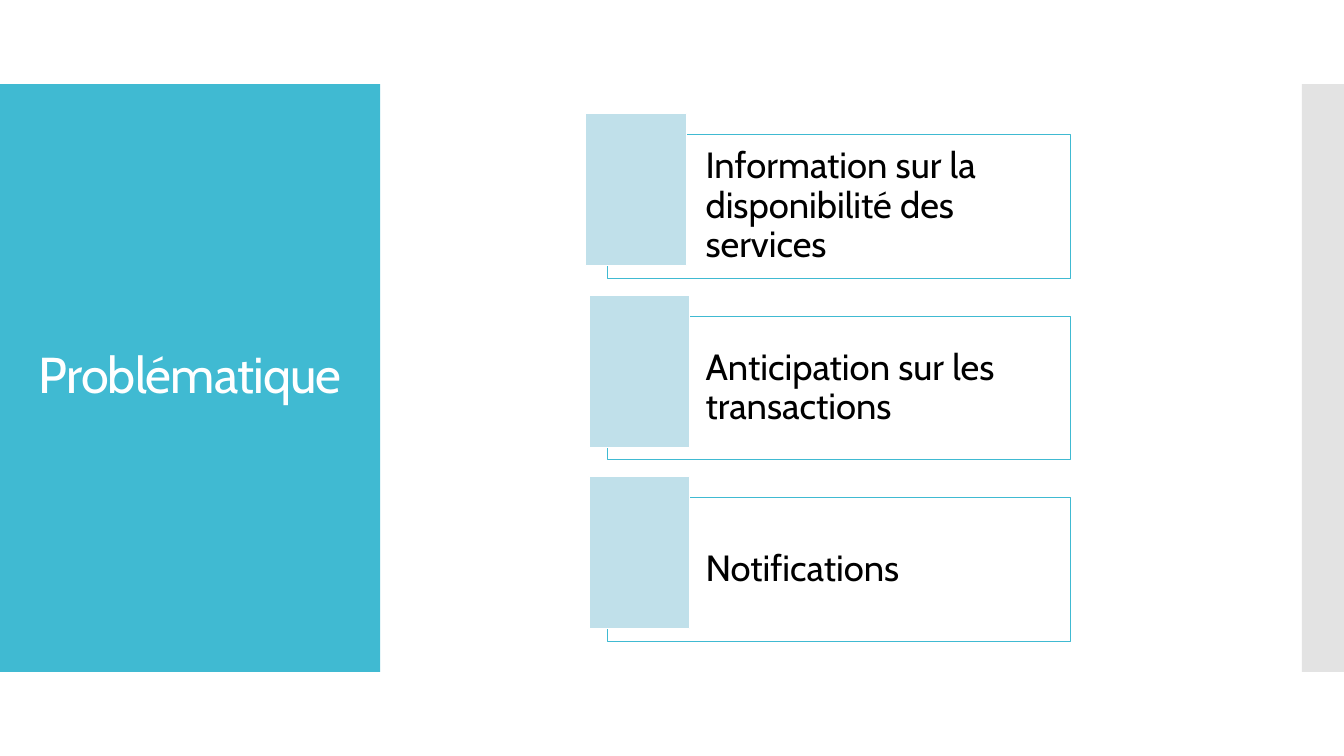
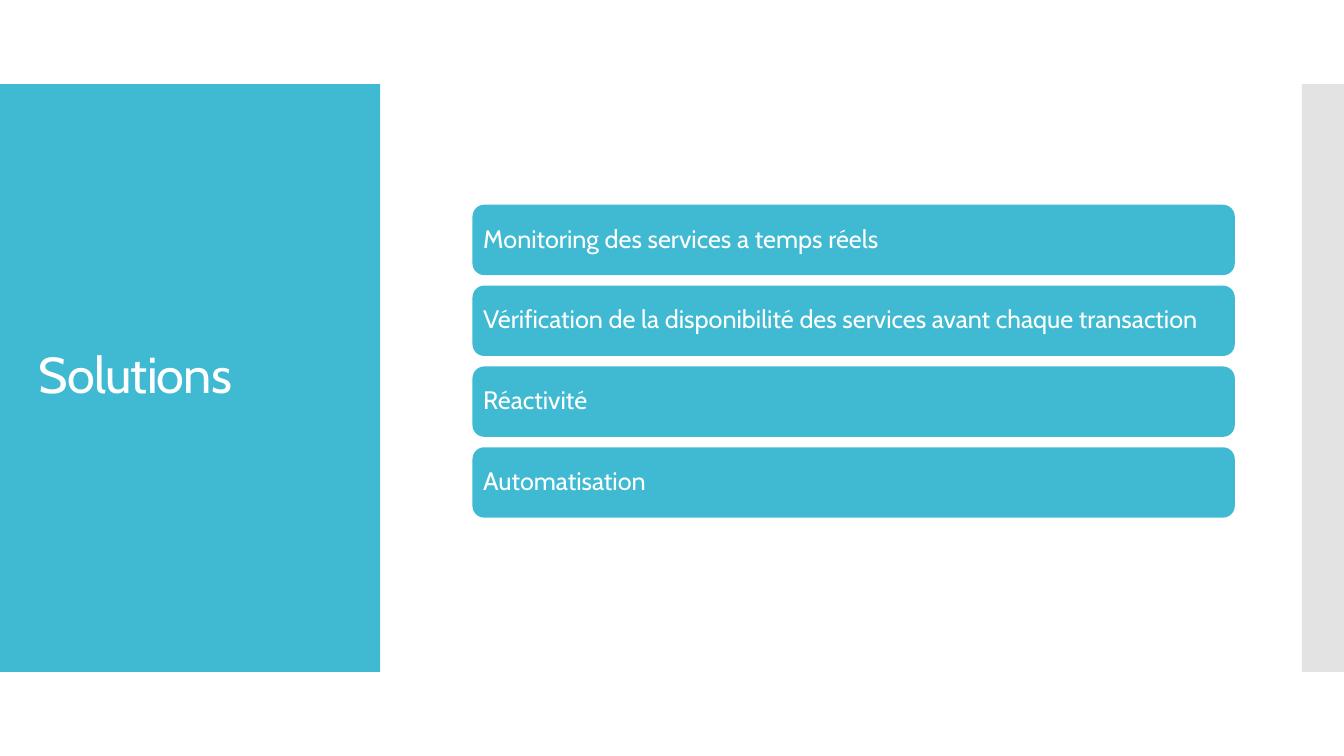
from lxml import etree
from pptx import Presentation
from pptx import util as u
from pptx.dml.color import RGBColor
from pptx.enum import shapes, text
from pptx.oxml import ns

PX = 9525  # EMU per px, 96 px to the inch
FONT = "Cabin"
TITLE_ONLY = 5
COLOURS = {
    "accent": "40BAD2",
    "tile": "C0E0EA",
    "edge": "C8C8C8",
    "white": "FFFFFF",
    "black": "000000",
}
RECT = shapes.MSO_SHAPE.RECTANGLE
ROUNDED = shapes.MSO_SHAPE.ROUNDED_RECTANGLE

PROBLEMS = [
    "Information sur la disponibilité des services",
    "Anticipation sur les transactions",
    "Notifications",
]
SOLUTIONS = [
    "Monitoring des services a temps réels",
    "Vérification de la disponibilité des services avant chaque transaction",
    "Réactivité",
    "Automatisation",
]


def colour(name):
    return RGBColor.from_string(COLOURS[name])


def place(shape, left, top, width, height):
    shape.left, shape.top = left * PX, top * PX
    shape.width, shape.height = width * PX, height * PX


def add_block(page, kind, area, fill, line=None, weight=0.75, opacity=100):
    """Add a filled preset shape with an optional outline."""
    block = page.shapes.add_shape(kind, *(length * PX for length in area))
    block.shadow.inherit = False
    block.fill.solid()
    block.fill.fore_color.rgb = colour(fill)
    if opacity < 100:
        hue = block.element.spPr.find(ns.qn("a:solidFill"))[0]
        etree.SubElement(hue, ns.qn("a:alpha"), val=str(opacity * 1000))
    if line:
        block.line.color.rgb = colour(line)
        block.line.width = u.Pt(weight)
    else:
        block.line.fill.background()
    return block


def write(shape, words, size, ink, insets):
    """Set one left-aligned paragraph, centred vertically in the shape."""
    frame = shape.text_frame
    frame.word_wrap = True
    frame.auto_size = text.MSO_AUTO_SIZE.NONE
    frame.vertical_anchor = text.MSO_ANCHOR.MIDDLE
    (frame.margin_left, frame.margin_top,
     frame.margin_right, frame.margin_bottom) = (gap * PX for gap in insets)
    para = frame.paragraphs[0]
    para.text = words
    para.alignment = text.PP_ALIGN.LEFT
    para.line_spacing = 0.9
    para.font.name = FONT
    para.font.size = u.Pt(size)
    para.font.color.rgb = colour(ink)
    return para


def add_page(deck, heading):
    """Add a page with the side bands and its title."""
    page = deck.slides.add_slide(deck.slide_layouts[TITLE_ONLY])
    title = page.shapes.title
    bands = [
        add_block(page, RECT, (0, 80, 362, 560), "accent"),
        add_block(page, RECT, (1240, 80, 40, 560), "edge", opacity=50),
    ]
    for band in bands:  # the bands lie behind the title
        title.element.addprevious(band.element)
    place(title, 27, 118, 315, 483)
    para = write(title, heading, 36, "white", (10, 5, 5, 5))
    para.runs[0].font._element.set("spc", "-60")
    return page


def add_card(page, words, top, tile_left):
    """Add an outlined card with a tile over its upper left corner."""
    card = add_block(page, RECT, (579, top, 441, 137), "white", "accent",
                     opacity=40)
    write(card, words, 26, "black", (93, 11, 11, 11))
    add_block(page, RECT, (tile_left, top - 20, 96, 145), "tile", "white", 0.85)


def add_bar(page, words, top):
    bar = add_block(page, ROUNDED, (450, top, 726, 67), "accent")
    write(bar, words, 18, "white", (7, 7, 7, 7))


def main():
    deck = Presentation()
    deck.slide_width, deck.slide_height = 1280 * PX, 720 * PX

    # Problems: three cards, the first tile slightly further left
    page = add_page(deck, "Problématique")
    for row, words in enumerate(PROBLEMS):
        add_card(page, words, 128 + row * 173, 561 if row else 558)

    # Solutions: four bars
    page = add_page(deck, "Solutions")
    for row, words in enumerate(SOLUTIONS):
        add_bar(page, words, 195 + row * 77)

    deck.save("out.pptx")


if __name__ == "__main__":
    main()
